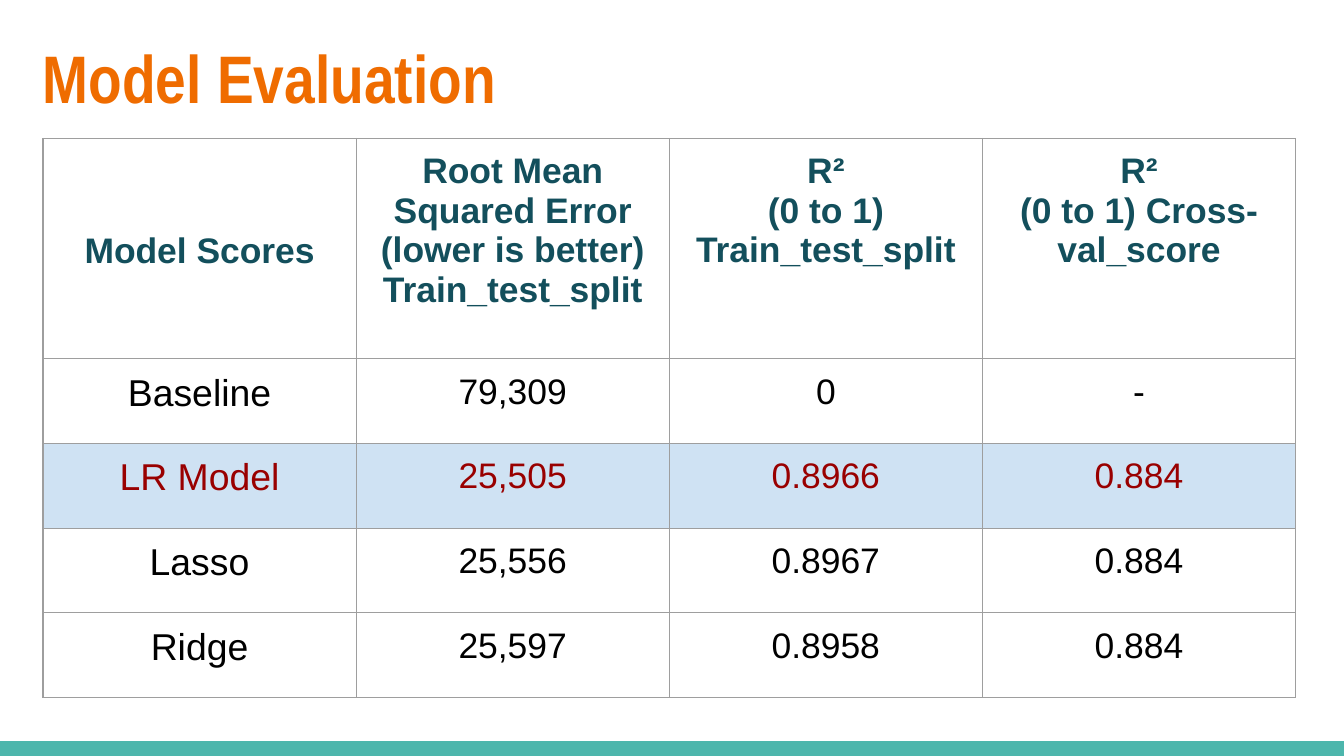
"""Build a slide with a table of model evaluation scores."""
import pptx
import pptx.dml.color
import pptx.enum.shapes
import pptx.enum.text
import pptx.oxml
import pptx.oxml.ns
import pptx.util

ORANGE = pptx.dml.color.RGBColor(0xEF, 0x6C, 0x00)
AQUA = pptx.dml.color.RGBColor(0x4D, 0xB6, 0xAC)
TEAL = pptx.dml.color.RGBColor(0x13, 0x4F, 0x5C)
BLACK = pptx.dml.color.RGBColor(0x00, 0x00, 0x00)
RED = pptx.dml.color.RGBColor(0x99, 0x00, 0x00)
PALE_BLUE = pptx.dml.color.RGBColor(0xCF, 0xE2, 0xF3)
GREY = pptx.dml.color.RGBColor(0x9E, 0x9E, 0x9E)

INSET = pptx.util.Inches(0.1)
COLUMN = pptx.util.Inches(2.33)
ROW = pptx.util.Inches(0.63)
HEADER_ROW = pptx.util.Inches(1.64)
HIGHLIGHT = "LR Model"
SCORES = [
    ["Model Scores",
     "Root Mean Squared Error\n(lower is better)\nTrain_test_split",
     "R²\n(0 to 1) Train_test_split",
     "R²\n(0 to 1) Cross-val_score"],
    ["Baseline", "79,309", "0", "-"],
    [HIGHLIGHT, "25,505", "0.8966", "0.884"],
    ["Lasso", "25,556", "0.8967", "0.884"],
    ["Ridge", "25,597", "0.8958", "0.884"],
]


def format_text(frame, font_name, size, color, bold):
    for para in frame.paragraphs:
        for span in para.runs:
            span.font.name = font_name
            span.font.size = pptx.util.Pt(size)
            span.font.color.rgb = color
            span.font.bold = bold


def add_borders(cell):
    properties = cell._tc.get_or_add_tcPr()
    for position, side in enumerate(("lnL", "lnR", "lnT", "lnB")):
        line = pptx.oxml.parse_xml(
            f'<a:{side} {pptx.oxml.ns.nsdecls("a")} w="{pptx.util.Pt(0.75)}">'
            f'<a:solidFill><a:srgbClr val="{GREY}"/></a:solidFill></a:{side}>')
        properties.insert(position, line)


deck = pptx.Presentation()
deck.slide_width = pptx.util.Inches(10)
deck.slide_height = deck.slide_width * 9 // 16
page = deck.slides.add_slide(deck.slide_layouts[6])

band_height = pptx.util.Inches(0.11)
band = page.shapes.add_shape(
    pptx.enum.shapes.MSO_SHAPE.RECTANGLE, 0, deck.slide_height - band_height,
    deck.slide_width, band_height)
band.shadow.inherit = False
band.fill.solid()
band.fill.fore_color.rgb = AQUA
band.line.fill.background()

title = page.shapes.add_textbox(
    pptx.util.Inches(0.22), pptx.util.Inches(0.17), 4 * COLUMN, pptx.util.Inches(0.77))
frame = title.text_frame
frame.word_wrap = True
frame.margin_left = frame.margin_right = INSET
frame.margin_top = frame.margin_bottom = INSET
frame.text = "Model Evaluation"
format_text(frame, "Arial Narrow", 36, ORANGE, True)

table = page.shapes.add_table(
    len(SCORES), len(SCORES[0]), pptx.util.Inches(0.32), pptx.util.Inches(1.03),
    len(SCORES[0]) * COLUMN, HEADER_ROW + (len(SCORES) - 1) * ROW).table
table.first_row = False
table.horz_banding = False
for column in table.columns:
    column.width = COLUMN

for row_number, values in enumerate(SCORES):
    header = row_number == 0
    highlighted = values[0] == HIGHLIGHT
    table.rows[row_number].height = HEADER_ROW if header else ROW
    color = TEAL if header else RED if highlighted else BLACK
    for column_number, value in enumerate(values):
        cell = table.cell(row_number, column_number)
        cell.margin_left = cell.margin_right = INSET
        cell.margin_top = cell.margin_bottom = INSET
        model_name = column_number == 0
        if header and model_name:
            cell.vertical_anchor = pptx.enum.text.MSO_ANCHOR.MIDDLE
            cell.margin_top = pptx.util.Inches(0.14)
        if highlighted:
            cell.fill.solid()
            cell.fill.fore_color.rgb = PALE_BLUE
        else:
            cell.fill.background()
        add_borders(cell)
        cell.text_frame.text = value
        size = 20 if model_name and not header else 19
        format_text(cell.text_frame, "Arial", size, color, header)
        for para in cell.text_frame.paragraphs:
            para.alignment = pptx.enum.text.PP_ALIGN.CENTER

deck.save("out.pptx")
